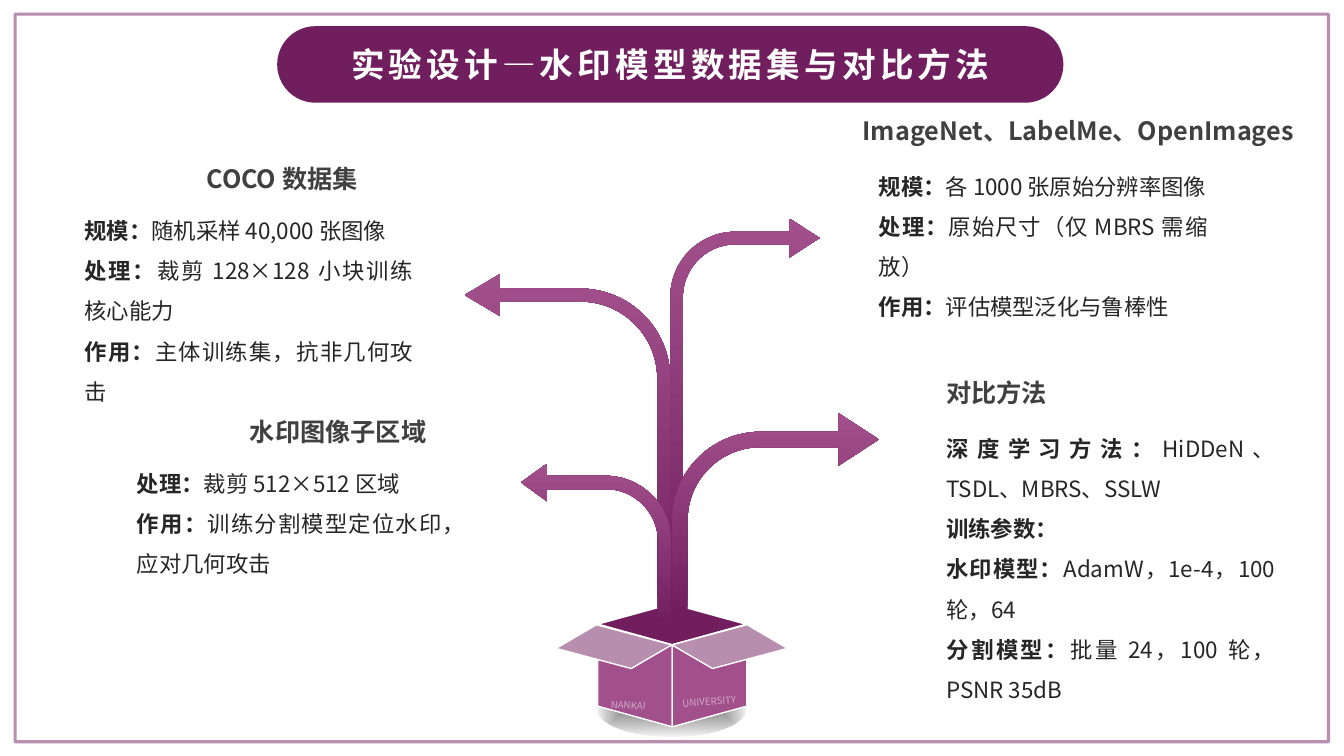
from lxml import etree
from pptx import Presentation
from pptx.dml.color import RGBColor
from pptx.enum.shapes import MSO_SHAPE
from pptx.enum.text import MSO_ANCHOR, MSO_AUTO_SIZE, PP_ALIGN
from pptx.oxml.ns import qn
from pptx.util import Pt

RECTANGLE, ROUNDED = MSO_SHAPE.RECTANGLE, MSO_SHAPE.ROUNDED_RECTANGLE
DIAMOND, ELLIPSE = MSO_SHAPE.DIAMOND, MSO_SHAPE.OVAL
PARALLELOGRAM, BENT_ARROW = MSO_SHAPE.PARALLELOGRAM, MSO_SHAPE.BENT_ARROW
LEFT, CENTER, JUSTIFY = PP_ALIGN.LEFT, PP_ALIGN.CENTER, PP_ALIGN.JUSTIFY
TOP, MIDDLE = MSO_ANCHOR.TOP, MSO_ANCHOR.MIDDLE
FIT_SHAPE = MSO_AUTO_SIZE.SHAPE_TO_FIT_TEXT

FONT = "Noto Sans CJK SC"
PLUM, MAUVE, FLAP, WHITE = "701E5E", "A2508C", "B78EAE", "FFFFFF"
HEADING, BODY = "404040", "262626"

# Heading, its place, body place (left, top, width, height), labelled paragraphs
SECTIONS = [
    ("COCO 数据集", (140.4, 113, 162, 28.8), (53.3, 141.8, 249.1, 152.6), [
        ("规模：", "随机采样 40,000 张图像"),
        ("处理：", "裁剪 128×128 小块训练核心能力"),
        ("作用：", "主体训练集，抗非几何攻击")]),
    ("水印图像子区域", (171.4, 293.8, 168.5, 28.8), (90.7, 322.6, 249.1, 94.3), [
        ("处理：", "裁剪 512×512 区域"),
        ("作用：", "训练分割模型定位水印，应对几何攻击")]),
    ("ImageNet、LabelMe、OpenImages", (609.1, 78.5, 351, 28.8), (620.6, 110.2, 249.1, 123.8), [
        ("规模：", "各 1000 张原始分辨率图像"),
        ("处理：", "原始尺寸（仅 MBRS 需缩放）"),
        ("作用：", "评估模型泛化与鲁棒性")]),
    ("对比方法", (668.9, 265.7, 90.7, 28.8), (668.9, 297.4, 249.1, 211), [
        ("深度学习方法：", "HiDDeN、TSDL、MBRS、SSLW"),
        ("训练参数：", ""),
        ("水印模型：", "AdamW，1e-4，100 轮，64"),
        ("分割模型：", "批量 24，100 轮，PSNR 35dB")]),
]

# Place, adjustments, points left
ARROWS = [
    ((478.8, 156.2, 106.6, 283), (0.084, 0.13, 0.2, 0.438), False),
    ((331.9, 195.8, 146.9, 249.8), (0.063, 0.102, 0.172, 0.438), True),
    ((480.2, 295.2, 147.6, 144), (0.076, 0.13, 0.2, 0.438), False),
    ((372.2, 331.2, 107.3, 115.2), (0.088, 0.125, 0.172, 0.438), True),
]


def color(hex_string):
    return RGBColor.from_string(hex_string)


def set_alpha(color_parent, percent):
    for element in color_parent.iter(qn("a:srgbClr")):
        etree.SubElement(element, qn("a:alpha")).set("val", str(percent * 1000))


def add_run(paragraph, text, size, fill, bold=False, spacing=0, alpha=None):
    run = paragraph.add_run()
    run.text = text
    font = run.font
    font.size, font.bold, font.name = Pt(size), bold, FONT
    font.color.rgb = color(fill)
    properties = run._r.get_or_add_rPr()
    etree.SubElement(properties, qn("a:ea")).set("typeface", FONT)
    if spacing:
        properties.set("spc", str(spacing * 100))
    if alpha is not None:
        set_alpha(properties, alpha)


class SlideBuilder:
    def __init__(self, slide):
        self.slide = slide

    def shape(self, kind, place, fill=None, line=None, line_width=1,
              adjustments=(), rotation=0, flip=False):
        shape = self.slide.shapes.add_shape(kind, *map(Pt, place))
        shape.shadow.inherit = False
        shape.rotation = rotation
        for index, value in enumerate(adjustments):
            shape.adjustments[index] = value
        if flip:
            shape._element.spPr.find(qn("a:xfrm")).set("flipH", "1")
        if fill:
            shape.fill.solid()
            shape.fill.fore_color.rgb = color(fill)
        else:
            shape.fill.background()
        if line:
            shape.line.color.rgb = color(line)
            shape.line.width = Pt(line_width)
        else:
            shape.line.fill.background()
        return shape

    def gradient(self, shape, start, end, radial=False):
        """Fill upwards from start to end, or outwards from the middle."""
        shape.fill.gradient()
        for stop, value in zip(shape.fill.gradient_stops, (start, end)):
            stop.color.rgb = color(value)
        if not radial:
            shape.fill.gradient_angle = 90
            return
        gradient = shape._element.spPr.find(qn("a:gradFill"))
        linear = gradient.find(qn("a:lin"))
        radial_path = etree.Element(qn("a:path"), {"path": "shape"})
        middle = dict.fromkeys("ltrb", "50000")
        etree.SubElement(radial_path, qn("a:fillToRect"), middle)
        gradient.replace(linear, radial_path)

    def frame(self, shape, anchor=TOP, wrap=True, inset=True):
        frame = shape.text_frame
        frame.word_wrap = wrap
        frame.auto_size = FIT_SHAPE
        frame.vertical_anchor = anchor
        if not inset:
            frame.margin_left = frame.margin_right = 0
            frame.margin_top = frame.margin_bottom = 0
        return frame

    def text(self, place, text, align=LEFT, rotation=0, wrap=True, inset=True, **style):
        box = self.slide.shapes.add_textbox(*map(Pt, place))
        box.rotation = rotation
        paragraph = self.frame(box, wrap=wrap, inset=inset).paragraphs[0]
        paragraph.alignment = align
        add_run(paragraph, text, **style)

    def labelled_text(self, place, items):
        frame = self.frame(self.slide.shapes.add_textbox(*map(Pt, place)))
        for index, (label, detail) in enumerate(items):
            paragraph = frame.add_paragraph() if index else frame.paragraphs[0]
            paragraph.alignment, paragraph.line_spacing = JUSTIFY, 1.5
            add_run(paragraph, label, size=16, fill=BODY, bold=True)
            if detail:
                add_run(paragraph, detail, size=16, fill=BODY)

    def banner(self, place, text):
        shape = self.shape(ROUNDED, place, PLUM, adjustments=[0.5])
        paragraph = self.frame(shape, MIDDLE).paragraphs[0]
        paragraph.alignment = CENTER
        add_run(paragraph, text, size=24, fill=WHITE, bold=True, spacing=3)

    def open_box(self):
        self.shape(DIAMOND, (426.2, 431.3, 107.3, 29.5), PLUM, WHITE)
        shadow = self.shape(ELLIPSE, (426.2, 484.6, 107.3, 41.8))
        self.gradient(shadow, "808080", "F2F2F2", radial=True)
        label = dict(size=7, fill=WHITE, alpha=50)
        self.shape(PARALLELOGRAM, (416.9, 455.8, 73.4, 53.3), MAUVE, WHITE,
                   adjustments=[0.277], rotation=270)
        self.text((429.1, 496.1, 47.5, 18), "NANKAI", JUSTIFY, 3, wrap=False, **label)
        self.shape(PARALLELOGRAM, (470.2, 455.8, 73.4, 53.3), MAUVE, WHITE,
                   adjustments=[0.277], rotation=90, flip=True)
        self.text((481.7, 496.8, 50.4, 17.3), "UNIVERSITY", CENTER, 356, inset=False, **label)
        for left, rotation, flip in ((398.9, 15, False), (481.7, 345, True)):
            self.shape(PARALLELOGRAM, (left, 450, 79.2, 23.8), FLAP, WHITE,
                       adjustments=[0.991], rotation=rotation, flip=flip)


def main():
    presentation = Presentation()
    presentation.slide_width, presentation.slide_height = Pt(960), Pt(540)
    builder = SlideBuilder(presentation.slides.add_slide(presentation.slide_layouts[6]))

    border = builder.shape(RECTANGLE, (10.8, 10.1, 938.2, 519.8), line=PLUM, line_width=2.25)
    set_alpha(border._element.spPr.find(qn("a:ln")), 50)
    builder.banner((198, 18.7, 561.6, 54.7), "实验设计—水印模型数据集与对比方法")
    for heading, heading_place, body_place, items in SECTIONS:
        builder.text(heading_place, heading, size=18, fill=HEADING, bold=True)
        builder.labelled_text(body_place, items)
    builder.open_box()
    for place, adjustments, flip in ARROWS:
        arrow = builder.shape(BENT_ARROW, place, adjustments=adjustments, flip=flip)
        builder.gradient(arrow, PLUM, MAUVE)
    presentation.save("out.pptx")


if __name__ == "__main__":
    main()
